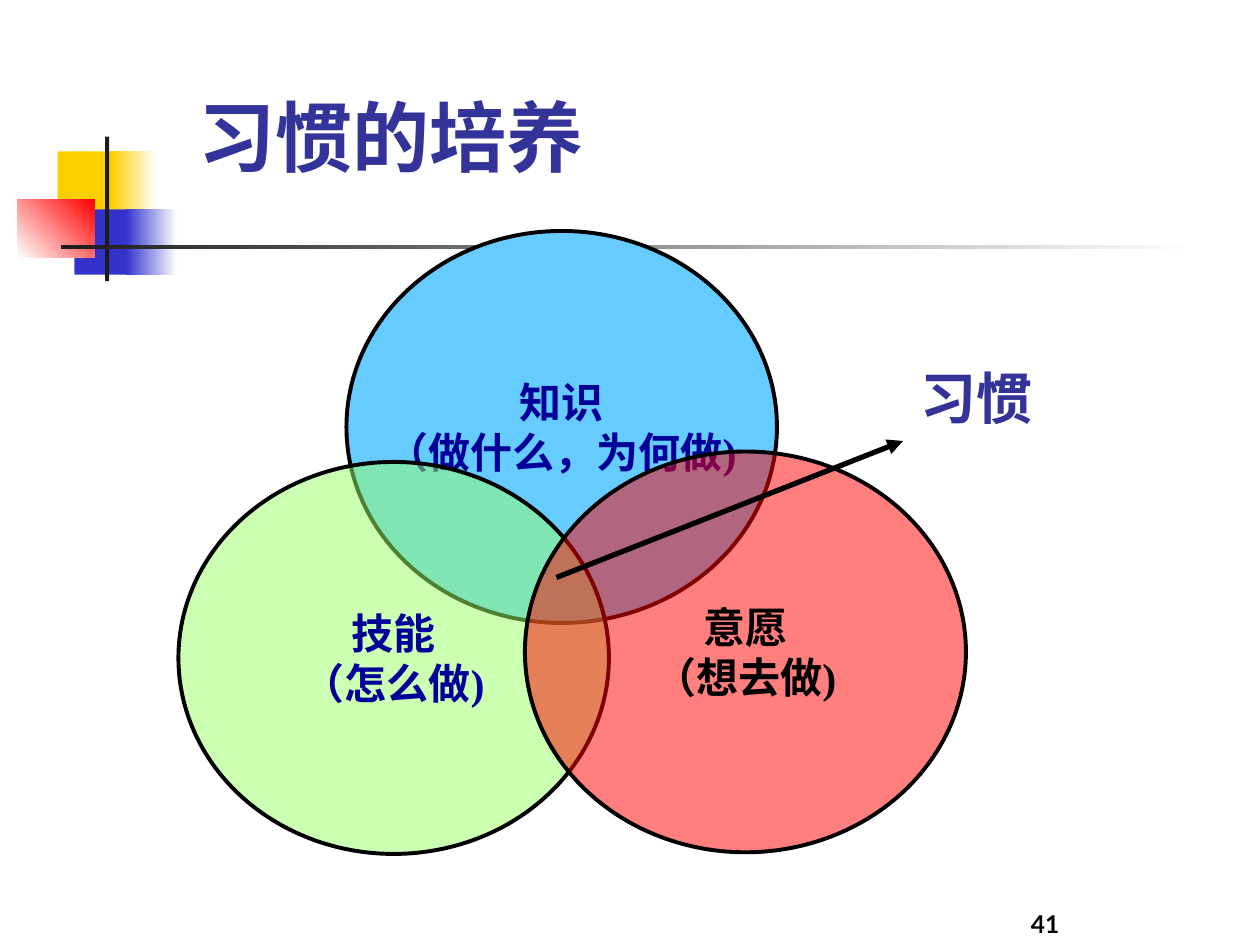
from pptx import Presentation
from pptx.dml.color import RGBColor
from pptx.enum.shapes import MSO_CONNECTOR, MSO_SHAPE
from pptx.enum.text import MSO_ANCHOR, MSO_AUTO_SIZE, PP_ALIGN
from pptx.oxml.ns import qn
from pptx.util import Pt
from lxml.etree import SubElement

THEME = {
    "sans": "Lato", "serif": "Times New Roman",
    "title_size": 44, "habit_size": 32, "circle_size": 24, "number_size": 14,
    "indigo": "333399", "navy": "000099", "black": "000000", "white": "FFFFFF",
    "yellow": "FFCF01", "blue": "3333CC", "red": "FF0000", "charcoal": "1C1C1C",
    "sky": "66CCFF", "lime": "99FF66",
    "outline": 2.25, "arrow": 3,
}

# Content; boxes are (left, top, width, height) in points
TITLE = ("习惯的培养", (106.5, 42, 613.5, 65.5))
HABIT = ("习惯", (504, 204, 108, 46))
PAGE_NUMBER = ("41", (582, 516, 108, 28))
ARROW = (318, 330, 516, 252)
CIRCLES = [  # lines, box, fill, opacity in percent, text colour
    (["知识", "（做什么，为何做)"], (198, 132, 246, 224), "sky", 100, "navy"),
    (["技能", "（怎么做)"], (102, 264, 246, 224), "lime", 50, "navy"),
    (["意愿", "（想去做)"], (300, 258, 252, 229), "red", 50, "black"),
]
ORNAMENT = [  # box, colours (two make a gradient), gradient angle
    ((33, 86.5, 34.5, 37.5), ["yellow"], 0),
    ((63.5, 86.5, 26, 37.5), ["yellow", "white"], 0),
    ((42.5, 119.7, 33, 37.3), ["blue"], 0),
    ((72, 119.7, 29, 37.3), ["blue", "white"], 0),
    ((10, 113.8, 44, 33.2), ["white", "red"], 45),
    ((60, 78, 2.4, 82.7), ["charcoal"], 0),
    ((34.8, 140.1, 648, 2.4), ["charcoal", "white"], 0),
]


def color(name):
    return RGBColor.from_string(THEME[name])


def points(values):
    return [Pt(value) for value in values]


def write(frame, lines, size, font, ink, align, **frame_format):
    for name, value in frame_format.items():
        setattr(frame, name, value)
    frame.text = "\n".join(lines)
    for paragraph in frame.paragraphs:
        paragraph.alignment = align
        font_format = {"size": Pt(THEME[size]), "name": THEME[font], "bold": True}
        for name, value in font_format.items():
            setattr(paragraph.font, name, value)
        paragraph.font.color.rgb = color(ink)


def add_filled(slide, preset, box, colors, angle=0):
    shape = slide.shapes.add_shape(preset, *points(box))
    shape.shadow.inherit = False
    if len(colors) == 1:
        shape.fill.solid()
        shape.fill.fore_color.rgb = color(colors[0])
    else:
        shape.fill.gradient()
        shape.fill.gradient_angle = angle
        for stop, name in zip(shape.fill.gradient_stops, colors):
            stop.color.rgb = color(name)
    shape.line.fill.background()
    return shape


def add_label(slide, label, size, font, ink, align):
    text, box = label
    frame = slide.shapes.add_textbox(*points(box)).text_frame
    write(frame, [text], size, font, ink, align, word_wrap=True)


def add_circle(slide, lines, box, fill, opacity, ink):
    circle = add_filled(slide, MSO_SHAPE.OVAL, box, [fill])
    if opacity < 100:
        fill_color = circle.element.spPr.find(f"{qn('a:solidFill')}/{qn('a:srgbClr')}")
        SubElement(fill_color, qn("a:alpha"), val=str(opacity * 1000))
    circle.line.color.rgb = color("black")
    circle.line.width = Pt(THEME["outline"])
    write(circle.text_frame, lines, "circle_size", "serif", ink, PP_ALIGN.CENTER,
          word_wrap=False, vertical_anchor=MSO_ANCHOR.MIDDLE)


def add_arrow(slide, ends):
    arrow = slide.shapes.add_connector(MSO_CONNECTOR.STRAIGHT, *points(ends))
    arrow.line.color.rgb = color("black")
    arrow.line.width = Pt(THEME["arrow"])
    SubElement(arrow.line._get_or_add_ln(), qn("a:tailEnd"), type="triangle")
    SubElement(arrow.element.spPr, qn("a:effectLst"))


def main():
    deck = Presentation()
    deck.slide_width, deck.slide_height = Pt(720), Pt(540)
    slide = deck.slides.add_slide(deck.slide_layouts[5])

    # Corner ornament and rule
    for box, colors, angle in ORNAMENT:
        add_filled(slide, MSO_SHAPE.RECTANGLE, box, colors, angle)

    # Title
    text, box = TITLE
    title = slide.shapes.title
    for name, value in zip(("left", "top", "width", "height"), points(box)):
        setattr(title, name, value)
    write(title.text_frame, [text], "title_size", "sans", "indigo", PP_ALIGN.LEFT,
          vertical_anchor=MSO_ANCHOR.BOTTOM, auto_size=MSO_AUTO_SIZE.NONE)

    # Overlapping circles, with the arrow from their shared centre to the habit
    for circle in CIRCLES:
        add_circle(slide, *circle)
    add_arrow(slide, ARROW)
    add_label(slide, HABIT, "habit_size", "serif", "indigo", PP_ALIGN.CENTER)

    # Page number
    add_label(slide, PAGE_NUMBER, "number_size", "sans", "black", PP_ALIGN.LEFT)
    deck.save("out.pptx")


if __name__ == "__main__":
    main()
